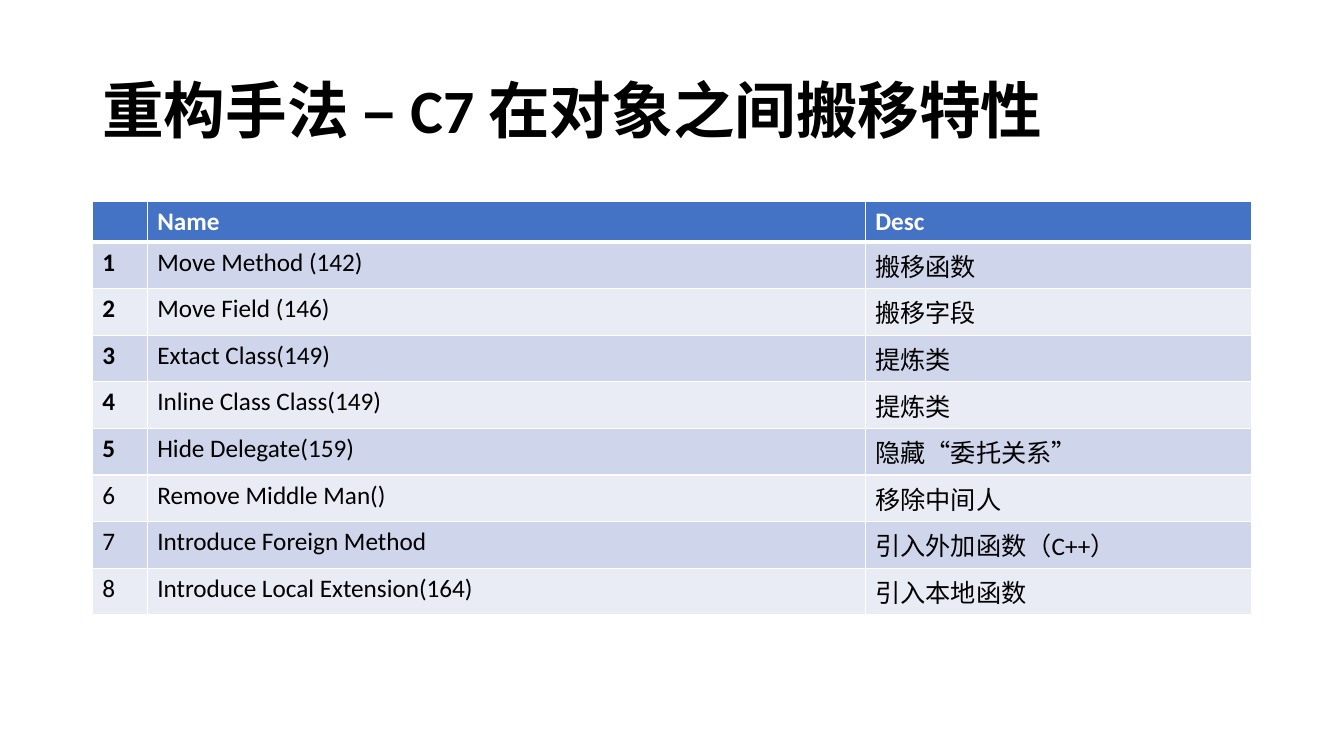
from lxml import etree
from pptx import Presentation
from pptx.dml.color import RGBColor
from pptx.enum import text
from pptx.oxml import ns
from pptx.util import Pt

THEME = {
    "font": "Calibri", "title_size": 44, "cell_size": 18,
    "ink": "000000", "paper": "FFFFFF", "header": "4472C4",
    "bands": ("CFD5EA", "E9EBF5"),
}
COLUMN_WIDTHS = (39.2, 512.9, 275.9)
HEADER_HEIGHT, METHOD_HEIGHT = 29.2, 33.3
METHODS = [
    ("Move Method (142)", "搬移函数"),
    ("Move Field (146)\u00a0", "搬移字段"),
    ("Extact Class(149)", "提炼类"),
    ("Inline Class Class(149)", "提炼类"),
    ("Hide Delegate(159)", "隐藏“委托关系”"),
    ("Remove Middle Man()", "移除中间人"),
    ("Introduce Foreign Method", "引入外加函数（C++）"),
    ("Introduce Local Extension(164)", "引入本地函数"),
]
BOLD_NUMBERS = 5


def write(paragraph, words, size, color, bold):
    run = paragraph.add_run()
    run.text = words
    for key, value in {"name": THEME["font"], "size": Pt(size), "bold": bold}.items():
        setattr(run.font, key, value)
    run.font.color.rgb = RGBColor.from_string(color)


def add_border(cell, side, width):
    line = etree.SubElement(cell._tc.get_or_add_tcPr(), ns.qn(f"a:ln{side}"), w=str(Pt(width)))
    fill = etree.SubElement(line, ns.qn("a:solidFill"))
    etree.SubElement(fill, ns.qn("a:srgbClr"), val=THEME["paper"])


deck = Presentation()
deck.slide_width, deck.slide_height = Pt(960), Pt(540)
slide = deck.slides.add_slide(deck.slide_layouts[6])

heading = slide.shapes.add_textbox(Pt(66), Pt(28.75), Pt(828), Pt(104.4)).text_frame
for key, value in {"word_wrap": True, "vertical_anchor": text.MSO_ANCHOR.MIDDLE}.items():
    setattr(heading, key, value)
heading.paragraphs[0].line_spacing = 0.9
write(heading.paragraphs[0], "重构手法 – C7 在对象之间搬移特性", THEME["title_size"], THEME["ink"], True)

rows = [("", "Name", "Desc")]
rows += [(str(number), *method) for number, method in enumerate(METHODS, 1)]
catalog = slide.shapes.add_table(
    len(rows), len(COLUMN_WIDTHS), Pt(66), Pt(143.75),
    Pt(sum(COLUMN_WIDTHS)), Pt(HEADER_HEIGHT + METHOD_HEIGHT * len(METHODS))
).table
for column, width in zip(catalog.columns, COLUMN_WIDTHS):
    column.width = Pt(width)

for r, row in enumerate(rows):
    is_header = r == 0
    catalog.rows[r].height = Pt(HEADER_HEIGHT if is_header else METHOD_HEIGHT)
    background = THEME["header"] if is_header else THEME["bands"][(r - 1) % 2]
    color = THEME["paper"] if is_header else THEME["ink"]
    borders = {"L": 1, "R": 1, "T": 3 if r == 1 else 1, "B": 3 if is_header else 1}
    for c, words in enumerate(row):
        cell = catalog.cell(r, c)
        for side, width in borders.items():
            add_border(cell, side, width)
        cell.fill.solid()
        cell.fill.fore_color.rgb = RGBColor.from_string(background)
        if words:
            bold = is_header or (c == 0 and r <= BOLD_NUMBERS)
            write(cell.text_frame.paragraphs[0], words, THEME["cell_size"], color, bold)

deck.save("out.pptx")
